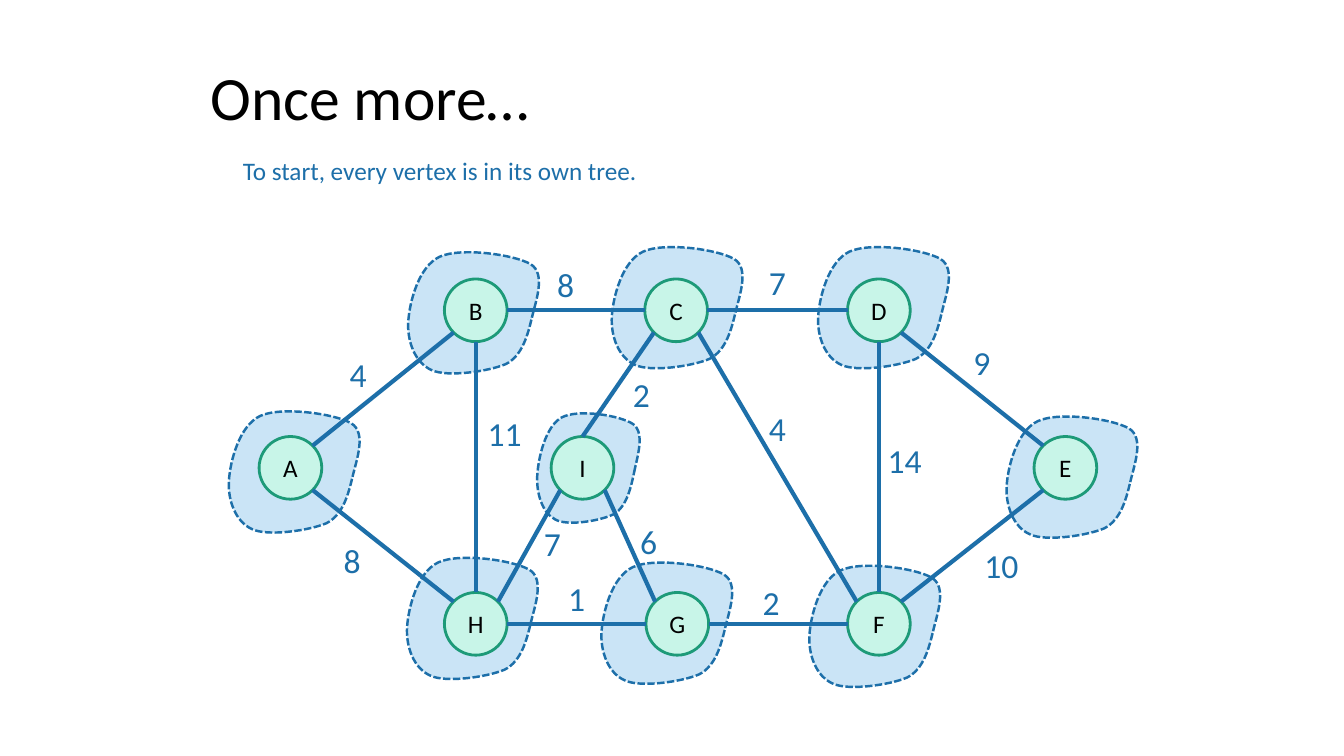
from math import atan2, cos, pi, sin

from lxml import etree
from pptx import Presentation
from pptx.dml.color import RGBColor
from pptx.enum.dml import MSO_LINE
from pptx.enum.shapes import MSO_CONNECTOR, MSO_SHAPE
from pptx.enum.text import MSO_ANCHOR, PP_ALIGN
from pptx.oxml.ns import qn
from pptx.util import Cm, Pt

STRAIGHT = MSO_CONNECTOR.STRAIGHT
ELLIPSE = MSO_SHAPE.OVAL
DASH = MSO_LINE.SQUARE_DOT
TOP, MIDDLE = MSO_ANCHOR.TOP, MSO_ANCHOR.MIDDLE
LEFT, CENTER = PP_ALIGN.LEFT, PP_ALIGN.CENTER
FONT = "Calibri"
BLUE, PALE_BLUE = "1D6FA9", "CAE4F6"
GREEN, PALE_GREEN = "1D9A78", "C8F5E8"
BLACK = "000000"

RADIUS = 0.79
TREE_SIZE = (3.28, 3.07)
SMALL_TREE_SIZE = (2.57, 2.77)
LABEL_SIZE = (2.18, 1.27)

VERTICES = {
    "D": (17.15, 1.82), "C": (12.04, 1.82), "B": (6.99, 1.82),
    "A": (2.32, 5.79), "H": (6.99, 9.72), "G": (12.07, 9.72),
    "F": (17.15, 9.72), "I": (9.68, 5.79), "E": (21.85, 5.79),
}
TREES = {
    "F": (15.4, 8.25), "E": (20.37, 4.49), "D": (15.62, 0.22),
    "C": (10.42, 0.22), "B": (5.29, 0.35), "I": (8.54, 4.41),
    "G": (10.16, 8.17), "H": (5.26, 8.05), "A": (0.77, 4.36),
}
EDGES = [
    ("C", "F", "4", 14.13, 4.16), ("C", "D", "7", 14.13, 0.48),
    ("E", "D", "9", 19.28, 2.48), ("E", "F", "10", 19.56, 7.61),
    ("D", "F", "14", 17.12, 4.97), ("I", "G", "6", 10.88, 7),
    ("G", "F", "2", 13.97, 8.53), ("I", "C", "2", 10.7, 3.3),
    ("B", "C", "8", 8.79, 0.53), ("A", "B", "4", 3.56, 2.79),
    ("A", "H", "8", 3.41, 7.49), ("G", "H", "1", 9.07, 8.43),
    ("I", "H", "7", 8.46, 7.06), ("H", "B", "11", 7.04, 4.29),
]
SPECIAL_ANGLES = {("I", "C"): -pi / 2}
TREE_GRID = 100
TREE_CURVES = [
    ((98, 40), (106, 18), (94, 10)),
    ((81, 2), (40, -4), (24, 4)),
    ((8, 12), (1, 41), (0, 57)),
    ((-1, 73), (5, 91), (18, 97)),
    ((30, 103), (62, 98), (75, 92)),
    ((88, 85), (92, 67), (95, 54)),
]


def color(value):
    """Turn a hex string into a colour."""
    return RGBColor.from_string(value)


def style_shape(shape, fill, line, width):
    """Give a shape a flat fill and an outline."""
    shape.shadow.inherit = False
    shape.fill.solid()
    shape.fill.fore_color.rgb = color(fill)
    shape.line.color.rgb = color(line)
    shape.line.width = Pt(width)


def write(shape, text, size, font_color, align=LEFT, anchor=TOP):
    """Write one paragraph into a shape and return it."""
    frame = shape.text_frame
    frame.word_wrap = True
    frame.vertical_anchor = anchor
    paragraph = frame.paragraphs[0]
    paragraph.text = text
    paragraph.alignment = align
    paragraph.font.name = FONT
    paragraph.font.size = Pt(size)
    paragraph.font.color.rgb = color(font_color)
    return paragraph


def add_text(slide, box, text, size, font_color, anchor=TOP):
    """Add a text box and return its paragraph."""
    shape = slide.shapes.add_textbox(*(Cm(length) for length in box))
    return write(shape, text, size, font_color, anchor=anchor)


def round_outline(shape):
    """Replace the straight sides of a tree with curves on its grid."""
    outline = next(shape._element.iter(qn("a:path")))
    outline.set("w", str(TREE_GRID))
    outline.set("h", str(TREE_GRID))
    for child in list(outline):
        outline.remove(child)
    start = TREE_CURVES[-1][-1]
    commands = [("a:moveTo", [start])] + [("a:cubicBezTo", curve) for curve in TREE_CURVES]
    for tag, points in commands + [("a:close", [])]:
        command = etree.SubElement(outline, qn(tag))
        for x, y in points:
            etree.SubElement(command, qn("a:pt"), x=str(x), y=str(y))


def add_tree(slide, left, top, width, height):
    """Draw the dashed region of one tree in its box."""
    corners = [(Cm(left + x * width), Cm(top + y * height)) for x, y in ((0, 0), (1, 0), (1, 1), (0, 1))]
    builder = slide.shapes.build_freeform(*corners[0])
    builder.add_line_segments(corners[1:], close=True)
    tree = builder.convert_to_shape()
    round_outline(tree)
    style_shape(tree, PALE_BLUE, BLUE, 1.75)
    tree.line.dash_style = DASH


def add_vertex(slide, name, x, y):
    """Draw one vertex around its centre."""
    vertex = slide.shapes.add_shape(ELLIPSE, Cm(x - RADIUS), Cm(y - RADIUS), Cm(2 * RADIUS), Cm(2 * RADIUS))
    style_shape(vertex, PALE_GREEN, GREEN, 2)
    write(vertex, name, 18, BLACK, CENTER, MIDDLE)


def attachment(name, other):
    """Find the point on a vertex, in steps of 45 degrees, that faces another."""
    x, y = VERTICES[name]
    other_x, other_y = VERTICES[other]
    angle = round(atan2(other_y - y, other_x - x) / (pi / 4)) * pi / 4
    angle = SPECIAL_ANGLES.get((name, other), angle)
    return x + RADIUS * cos(angle), y + RADIUS * sin(angle)


def add_edge(slide, left, top, start, end):
    """Connect two vertices with a line."""
    start_x, start_y = attachment(start, end)
    end_x, end_y = attachment(end, start)
    edge = slide.shapes.add_connector(STRAIGHT, Cm(left + start_x), Cm(top + start_y),
                                      Cm(left + end_x), Cm(top + end_y))
    edge.line.color.rgb = color(BLUE)
    edge.line.width = Pt(3)
    etree.SubElement(edge._element.spPr, qn("a:effectLst"))


def add_heading(slide, left, top, width, height):
    """Place the title and the sentence below it."""
    title = add_text(slide, (left, top, width, height), "Once more…", 44, BLACK, MIDDLE)
    title.line_spacing = 0.9
    add_text(slide, (left + 0.82, top + 3.68, 11.53, 1.02),
             "To start, every vertex is in its own tree.", 18, BLUE)


def add_graph(slide, left, top):
    """Place the trees, vertices, edges and weights of the graph."""
    for name, (x, y) in TREES.items():
        size = SMALL_TREE_SIZE if name == "I" else TREE_SIZE
        add_tree(slide, left + x, top + y, *size)
    for name, (x, y) in VERTICES.items():
        add_vertex(slide, name, left + x, top + y)
    for start, end, _, _, _ in EDGES:
        add_edge(slide, left, top, start, end)
    for _, _, weight, x, y in EDGES:
        add_text(slide, (left + x, top + y, *LABEL_SIZE), weight, 24, BLUE)


def main():
    """Build and save the presentation."""
    presentation = Presentation()
    presentation.slide_width = Cm(33.87)
    presentation.slide_height = Cm(19.05)
    slide = presentation.slides.add_slide(presentation.slide_layouts[6])
    add_heading(slide, 5.05, 0.1, 24.69, 4.85)
    add_graph(slide, 5, 6)
    presentation.save("out.pptx")


if __name__ == "__main__":
    main()
